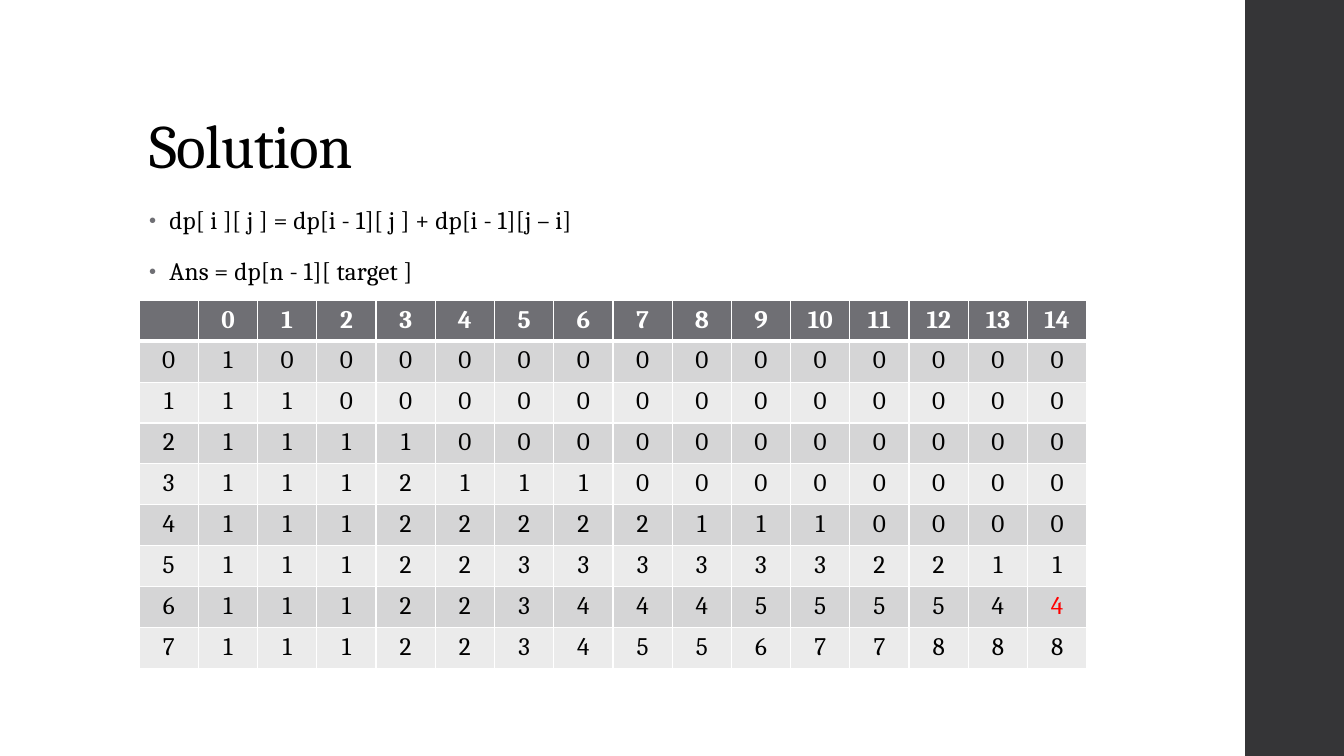
import pptx
import pptx.dml.color
import pptx.enum.shapes
import pptx.enum.text
import pptx.oxml
import pptx.oxml.ns
import pptx.util

Inches, Pt = pptx.util.Inches, pptx.util.Pt
ALIGN = pptx.enum.text.PP_ALIGN
ANCHOR = pptx.enum.text.MSO_ANCHOR

COLORS = {
    "text": "000000", "white": "FFFFFF", "answer": "FF0000", "sidebar": "353537",
    "header": "6F6F74", "odd": "D5D5D6", "even": "EBEBEB",
}
FORMULAS = ["dp[ i ][ j ] = dp[i - 1][ j ] + dp[i - 1][j – i]", "Ans = dp[n - 1][ target ]"]
DP = [
    [1, 0, 0, 0, 0, 0, 0, 0, 0, 0, 0, 0, 0, 0, 0],
    [1, 1, 0, 0, 0, 0, 0, 0, 0, 0, 0, 0, 0, 0, 0],
    [1, 1, 1, 1, 0, 0, 0, 0, 0, 0, 0, 0, 0, 0, 0],
    [1, 1, 1, 2, 1, 1, 1, 0, 0, 0, 0, 0, 0, 0, 0],
    [1, 1, 1, 2, 2, 2, 2, 2, 1, 1, 1, 0, 0, 0, 0],
    [1, 1, 1, 2, 2, 3, 3, 3, 3, 3, 3, 2, 2, 1, 1],
    [1, 1, 1, 2, 2, 3, 4, 4, 4, 5, 5, 5, 5, 4, 4],
    [1, 1, 1, 2, 2, 3, 4, 5, 5, 6, 7, 7, 8, 8, 8],
]
ANSWER = (7, 15)
rows = [["", *range(15)]] + [[i, *counts] for i, counts in enumerate(DP)]

# Grid: the table's columns and rows set the widths of the slide
LEFT = Inches(1.38)
COL = Inches(9.4) // len(rows[0])
ROW = Inches(3.65) // len(rows)


def add_run(p, text, size, color="text", bold=False, spacing=None):
    r = p.add_run()
    r.text = text
    for name, value in {"name": "Cambria", "size": Pt(size), "bold": bold}.items():
        setattr(r.font, name, value)
    r.font.color.rgb = pptx.dml.color.RGBColor.from_string(COLORS[color])
    if spacing:
        r._r.get_or_add_rPr().set("spc", str(spacing))


def append_xml(parent, xml):
    parent.append(pptx.oxml.parse_xml(xml.replace(">", f" {pptx.oxml.ns.nsdecls('a')}>", 1)
                                      if not xml.endswith("/>") or xml.count("<") > 1
                                      else xml.replace("/>", f" {pptx.oxml.ns.nsdecls('a')}/>")))


prs = pptx.Presentation()
prs.slide_width, prs.slide_height = Inches(13.33), Inches(7.5)
s = prs.slides.add_slide(prs.slide_layouts[1])
title, body = s.placeholders

# Sidebar
sidebar_left = Inches(12.35)
sp = s.shapes.add_shape(pptx.enum.shapes.MSO_SHAPE.RECTANGLE, sidebar_left, 0,
                        prs.slide_width - sidebar_left, prs.slide_height)
sp.shadow.inherit = False
sp.fill.solid()
sp.fill.fore_color.rgb = pptx.dml.color.RGBColor.from_string(COLORS["sidebar"])
sp.line.fill.background()

# Title and formulas
for sp, top, columns, height, anchor in [
    (title, 0.4, 18, 1.45, ANCHOR.BOTTOM),
    (body, 2, 16, 4.76, ANCHOR.TOP),
]:
    sp.left, sp.top, sp.width, sp.height = LEFT, Inches(top), columns * COL, Inches(height)
    sp.text_frame.auto_size = pptx.enum.text.MSO_AUTO_SIZE.NONE
    sp.text_frame.vertical_anchor = anchor
    sp.text_frame.word_wrap = True

p = title.text_frame.paragraphs[0]
p.alignment, p.line_spacing = ALIGN.LEFT, 0.9
add_run(p, "Solution", 44, spacing=-50)

tf = body.text_frame
for i, formula in enumerate(FORMULAS):
    p = tf.add_paragraph() if i else tf.paragraphs[0]
    for name, value in {"line_spacing": 0.95, "space_before": Pt(14), "space_after": Pt(2)}.items():
        setattr(p, name, value)
    pPr = p._p.get_or_add_pPr()
    pPr.set("marL", str(Inches(0.2)))
    pPr.set("indent", str(-Inches(0.2)))
    for xml in [
        f'<a:buClr><a:srgbClr val="{COLORS["header"]}"/></a:buClr>',
        '<a:buSzPct val="80000"/>',
        '<a:buFont typeface="Arial"/>',
        '<a:buChar char="•"/>',
    ]:
        append_xml(pPr, xml)
    add_run(p, formula, 18, spacing=10)

# Table of dp values
table = s.shapes.add_table(len(rows), len(rows[0]), LEFT, Inches(2.98),
                           len(rows[0]) * COL, len(rows) * ROW).table
for column in table.columns:
    column.width = COL
for i, row in enumerate(rows):
    table.rows[i].height = ROW
    fill = "header" if i == 0 else "odd" if i % 2 else "even"
    borders = {"L": 1, "R": 1, "T": 3 if i == 1 else 1, "B": 3 if i == 0 else 1}
    for j, value in enumerate(row):
        cell = table.cell(i, j)
        tcPr = cell._tc.get_or_add_tcPr()
        for side, width in borders.items():
            append_xml(tcPr, f'<a:ln{side} w="{Pt(width)}"><a:solidFill>'
                             f'<a:srgbClr val="{COLORS["white"]}"/></a:solidFill></a:ln{side}>')
        cell.fill.solid()
        cell.fill.fore_color.rgb = pptx.dml.color.RGBColor.from_string(COLORS[fill])
        p = cell.text_frame.paragraphs[0]
        p.alignment = ALIGN.CENTER
        color = "white" if i == 0 else "answer" if (i, j) == ANSWER else "text"
        if value != "":
            add_run(p, str(value), 18, color, bold=i == 0)

prs.save("out.pptx")
